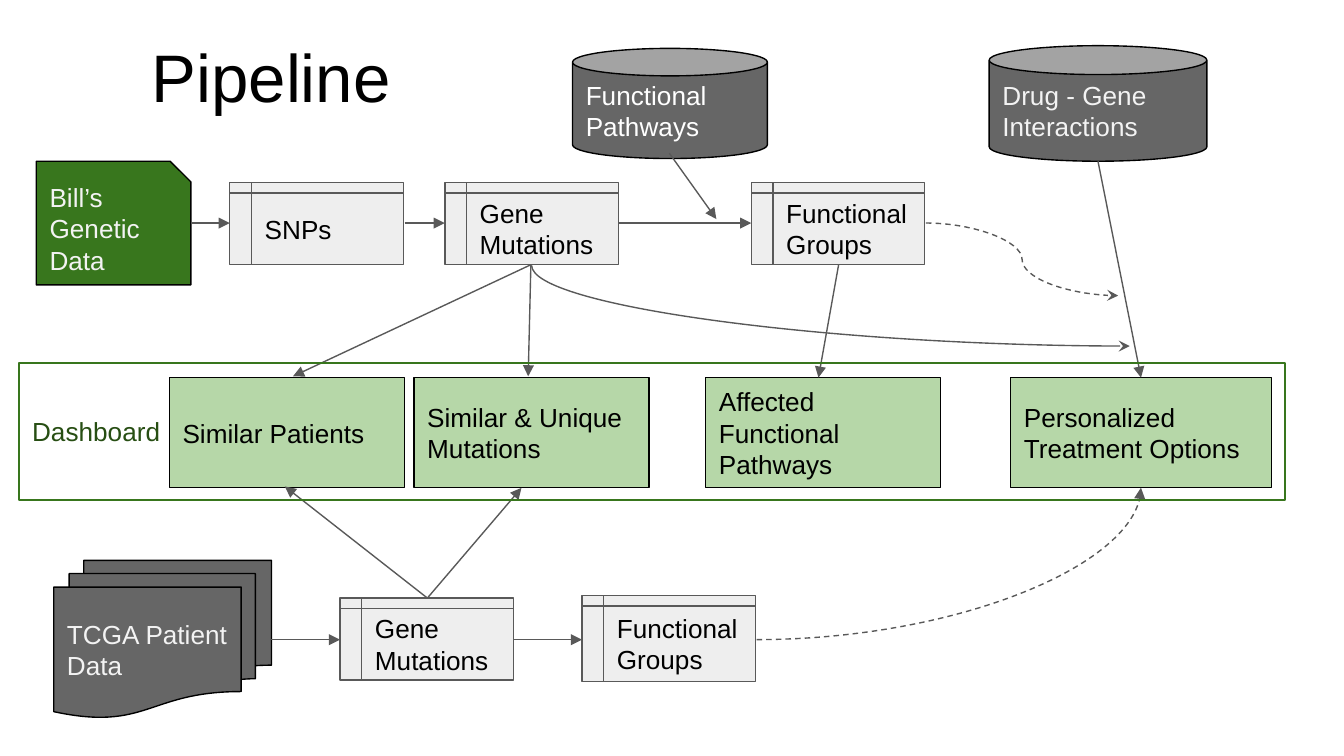
"""Build the genetic data pipeline slide."""
from lxml.etree import SubElement
from pptx import Presentation
from pptx.dml.color import RGBColor
from pptx.enum.dml import MSO_LINE
from pptx.enum.shapes import MSO_CONNECTOR, MSO_SHAPE
from pptx.enum.text import MSO_ANCHOR, PP_ALIGN
from pptx.oxml.ns import qn
from pptx.util import Inches, Pt

BLACK = RGBColor(0x00, 0x00, 0x00)
WHITE = RGBColor(0xFF, 0xFF, 0xFF)
OFF_WHITE = RGBColor(0xF3, 0xF3, 0xF3)
PALE_GRAY = RGBColor(0xEE, 0xEE, 0xEE)
GRAY = RGBColor(0x66, 0x66, 0x66)
LINE_GRAY = RGBColor(0x59, 0x59, 0x59)
GREEN = RGBColor(0x38, 0x76, 0x1D)
DARK_GREEN = RGBColor(0x27, 0x4E, 0x13)
LIGHT_GREEN = RGBColor(0xB6, 0xD7, 0xA8)

deck = Presentation()
deck.slide_width = Inches(10)
deck.slide_height = deck.slide_width * 9 // 16
slide = deck.slides.add_slide(deck.slide_layouts[6])


def write(box, text, size, color, anchor=MSO_ANCHOR.MIDDLE):
    frame = box.text_frame
    frame.word_wrap = True
    frame.vertical_anchor = anchor
    frame.margin_left = frame.margin_right = Inches(0.1)
    frame.margin_top = frame.margin_bottom = Inches(0.1)
    frame.paragraphs[0].alignment = PP_ALIGN.LEFT
    run = frame.paragraphs[0].add_run()
    run.text = text
    run.font.name, run.font.size = "Arial", Pt(size)
    run.font.color.rgb = color


def add_node(preset, text, place, fill, line, color):
    node = slide.shapes.add_shape(preset, *map(Inches, place))
    node.shadow.inherit = False
    if fill is None:
        node.fill.background()
    else:
        node.fill.solid()
        node.fill.fore_color.rgb = fill
    node.line.color.rgb, node.line.width = line, Pt(0.75)
    write(node, text, 14, color)


STEP_ROW, PANEL_ROW = 1.36, 2.81
STEP_WIDTH, STEP_HEIGHT = 1.29, 0.61
PANEL_WIDTH, PANEL_HEIGHT = 1.75, 0.82

sources = [
    (MSO_SHAPE.SNIP_1_RECTANGLE, "Bill’s Genetic Data", (0.27, 1.2, 1.15, 0.92), GREEN, OFF_WHITE),
    (MSO_SHAPE.CAN, "Drug - Gene Interactions", (7.36, 0.34, 1.62, 0.86), GRAY, OFF_WHITE),
    (MSO_SHAPE.CAN, "Functional Pathways", (4.26, 0.36, 1.45, 0.82), GRAY, WHITE),
    (MSO_SHAPE.FLOWCHART_MULTIDOCUMENT, "TCGA Patient Data", (0.4, 4.17, 1.62, 1.17), GRAY, OFF_WHITE),
]
for preset, text, place, fill, color in sources:
    add_node(preset, text, place, fill, BLACK, color)

steps = [
    ("SNPs", 1.71, STEP_ROW, STEP_HEIGHT),
    ("Gene Mutations", 3.31, STEP_ROW, STEP_HEIGHT),
    ("Functional Groups", 5.59, STEP_ROW, STEP_HEIGHT),
    ("Gene Mutations", 2.53, 4.45, STEP_HEIGHT),
    ("Functional Groups", 4.33, 4.43, 0.64),
]
for text, left, top, height in steps:
    add_node(MSO_SHAPE.FLOWCHART_INTERNAL_STORAGE, text, (left, top, STEP_WIDTH, height),
             PALE_GRAY, LINE_GRAY, BLACK)

panels = [
    ("Similar Patients", 1.26, PANEL_WIDTH),
    ("Similar & Unique Mutations", 3.08, PANEL_WIDTH),
    ("Affected Functional Pathways", 5.25, PANEL_WIDTH),
    ("Personalized Treatment Options", 7.52, 1.94),
]
for text, left, width in panels:
    add_node(MSO_SHAPE.RECTANGLE, text, (left, PANEL_ROW, width, PANEL_HEIGHT),
             LIGHT_GREEN, BLACK, BLACK)

straight = [
    (1.42, 1.66, 1.71, 1.66), (3.01, 1.66, 3.31, 1.66), (4.6, 1.66, 5.59, 1.66),
    (4.98, 1.14, 5.33, 1.63), (8.17, 1.2, 8.49, 2.81), (6.24, 1.97, 6.09, 2.81),
    (3.95, 1.97, 3.93, 2.8), (3.95, 1.97, 2.18, 2.8),
    (3.18, 4.45, 3.88, 3.63), (3.18, 4.45, 2.12, 3.62),
    (3.82, 4.76, 4.33, 4.76), (2.02, 4.76, 2.53, 4.76),
]
flows = [(ends, "line", 0, "triangle", False) for ends in straight] + [
    ((6.48, 0.05, 5.88, 4.5), "curvedConnector2", 270, "stealth", False),
    ((6.89, 1.66, 8.32, 2.2), "curvedConnector3", 0, "stealth", True),
    ((5.63, 4.76, 8.49, 3.63), "curvedConnector2", 0, "triangle", True),
]
for ends, preset, turn, head, dashed in flows:
    kind = MSO_CONNECTOR.STRAIGHT if preset == "line" else MSO_CONNECTOR.CURVE
    arrow = slide.shapes.add_connector(kind, *map(Inches, ends))
    arrow.line.color.rgb, arrow.line.width = LINE_GRAY, Pt(0.75)
    if dashed:
        arrow.line.dash_style = MSO_LINE.DASH
    properties = arrow.element.spPr
    properties.find(qn("a:prstGeom")).set("prst", preset)
    if turn:
        properties.find(qn("a:xfrm")).set("rot", str(turn * 60000))
    SubElement(properties.find(qn("a:ln")), qn("a:tailEnd"), type=head, w="med", len="med")
    SubElement(properties, qn("a:effectLst"))

add_node(MSO_SHAPE.RECTANGLE, "Dashboard", (0.14, 2.7, 9.42, 1.02), None, GREEN, DARK_GREEN)

title = slide.shapes.add_textbox(*map(Inches, (1.03, 0.16, 2.98, 0.64)))
write(title, "Pipeline", 36, BLACK, MSO_ANCHOR.TOP)

deck.save("out.pptx")
